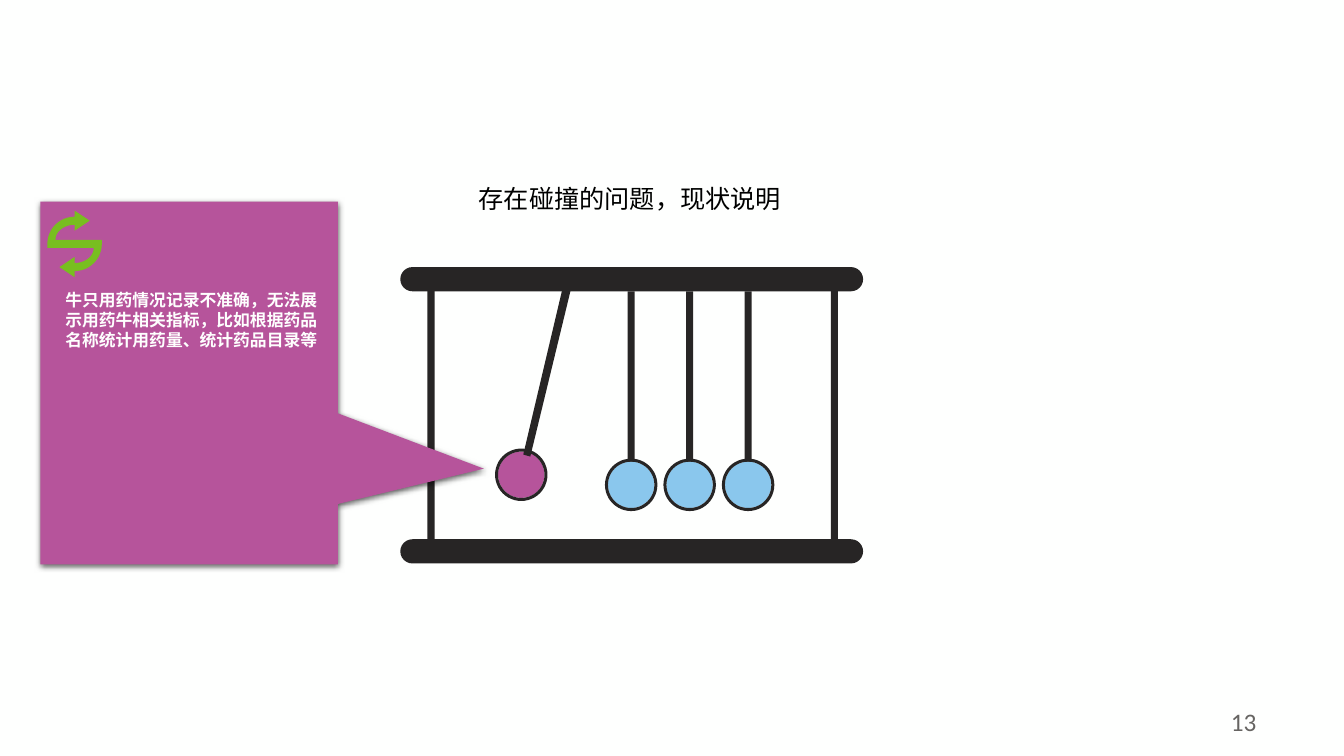
from math import cos, pi, sin

from lxml import etree
from pptx import Presentation
from pptx.dml.color import RGBColor
from pptx.enum.shapes import MSO_SHAPE
from pptx.enum.text import PP_ALIGN
from pptx.oxml.ns import qn
from pptx.util import Inches, Pt

COLORS = {
    "paper": "FEFFFE", "frame": "272525", "ball": "8AC7ED", "accent": "B6549B",
    "icon": "78BE20", "title": "000000", "number": "666462", "shadow": "000000",
}
CHINESE_FONT = "Noto Sans CJK SC"


def paint(shape, color):
    shape.shadow.inherit = False
    shape.fill.solid()
    shape.fill.fore_color.rgb = RGBColor.from_string(COLORS[color])
    shape.line.fill.background()
    return shape


def add_block(shapes, kind, box, color, adjustments=()):
    """Add a filled preset shape in a box of (left, top, width, height) inches."""
    shape = shapes.add_shape(kind, *map(Inches, box))
    for index, value in enumerate(adjustments):
        shape.adjustments[index] = value
    return paint(shape, color)


def add_outline(shapes, points, color):
    """Add a filled closed outline through points given in inches."""
    corners = [(Inches(x), Inches(y)) for x, y in points]
    builder = shapes.build_freeform(*corners[0])
    builder.add_line_segments(corners[1:])
    return paint(builder.convert_to_shape(), color)


def add_text(page, text, box, *, size, color, font=CHINESE_FONT, bold=False,
             align=PP_ALIGN.LEFT, wrap=True):
    frame = page.shapes.add_textbox(*map(Inches, box)).text_frame
    frame.word_wrap = wrap
    para = frame.paragraphs[0]
    para.alignment = align
    para.line_spacing = Pt(size * 1.2)
    span = para.add_run()
    span.text = text
    span.font.size = Pt(size)
    span.font.bold = bold
    span.font.name = font
    span.font.color.rgb = RGBColor.from_string(COLORS[color])
    east_asian = etree.SubElement(span.font._element, qn("a:ea"))
    east_asian.set("typeface", font)


def add_shadow(shape, blur, distance, opacity):
    """Add a soft shadow that falls straight down."""
    effects = shape._element.spPr.find(qn("a:effectLst"))
    shadow = etree.SubElement(
        effects, qn("a:outerShdw"), blurRad=str(Pt(blur)), dist=str(Pt(distance)),
        dir=str(90 * 60000), rotWithShape="0")
    color = etree.SubElement(shadow, qn("a:srgbClr"), val=COLORS["shadow"])
    etree.SubElement(color, qn("a:alpha"), val=str(opacity * 1000))


def add_cradle(page, box):
    """Draw the frame with one swinging ball and three hanging balls."""
    left, top, width, height = box
    bar, rod, ring, ball = 0.24, 0.07, 0.52, 0.46
    shapes = page.shapes.add_group_shape().shapes
    hanging = [(left + 2.29 + 0.58 * step, top + 2.16) for step in range(3)]
    swinging = (left + 1.2, top + 2.06)
    balls = [(center, "ball") for center in hanging] + [(swinging, "accent")]

    for (x, y), color in balls:
        add_block(shapes, MSO_SHAPE.OVAL,
                  (x - ball / 2, y - ball / 2, ball, ball), color)
    for bar_top in (top, top + height - bar):
        add_block(shapes, MSO_SHAPE.ROUNDED_RECTANGLE,
                  (left, bar_top, width, bar), "frame", [0.5])
    for x in (left + 0.27, left + width - 0.32):
        add_block(shapes, MSO_SHAPE.RECTANGLE,
                  (x, top + 0.22, rod, height - bar - 0.22), "frame")
    for x, _ in hanging:
        add_block(shapes, MSO_SHAPE.RECTANGLE,
                  (x - rod / 2, top + bar, rod, 1.69), "frame")
    tilted = [(1.29, 1.88), (1.22, 1.86), (1.61, 0.21), (1.69, 0.23)]
    add_outline(shapes, [(left + x, top + y) for x, y in tilted], "frame")
    for (x, y), _ in balls:
        add_block(shapes, MSO_SHAPE.DONUT,
                  (x - ring / 2, y - ring / 2, ring, ring), "frame",
                  [(ring - ball) / 2 / ring])


def add_cycle_icon(page, box):
    """Draw two turning arrows, the second being the first turned half round."""
    left, top, width, height = box
    center_x, center_y = left + width / 2, top + height / 2
    angles = [pi / 2 * step / 12 for step in range(13)]
    inner = [(-0.19 * cos(a), -0.04 - 0.15 * sin(a)) for a in angles]
    head = [(0, -0.13), (0.15, -0.23), (0, -0.33)]
    outer = [(-0.27 * cos(a), -0.27 * sin(a)) for a in reversed(angles)]
    arrow = inner + head + outer + [(-0.27, 0.04)]
    add_outline(page.shapes, [(center_x + turn * x, center_y + turn * y)
                              for turn in (1, -1) for x, y in arrow], "icon")


def add_problem_callout(page, box):
    left, top, width, height = box
    turned = (left + (width - height) / 2, top + (height - width) / 2, height, width)
    callout = add_block(page.shapes, MSO_SHAPE.RECTANGULAR_CALLOUT, turned,
                        "accent", [-0.236, 0.991])
    callout.rotation = 270
    add_shadow(callout, blur=4.5, distance=1.5, opacity=63)
    add_cycle_icon(page, (left + 0.07, top + 0.09, 0.54, 0.66))
    add_text(page, "牛只用药情况记录不准确，无法展示用药牛相关指标，比如根据药品名称统计用药量、统计药品目录等",
             (left + 0.15, top + 0.82, 2.73, 0.71), size=12, color="paper", bold=True)


def build_collision_slide(deck):
    page = deck.slides.add_slide(deck.slide_layouts[6])
    page.background.fill.solid()
    page.background.fill.fore_color.rgb = RGBColor.from_string(COLORS["paper"])
    add_text(page, "13", (9.56, 6.96, 3, 0.4), size=18, color="number",
             font="Calibri", align=PP_ALIGN.RIGHT)
    add_cradle(page, (3.97, 2.65, 4.59, 2.94))
    add_problem_callout(page, (0.4, 2, 2.95, 3.6))
    add_text(page, "存在碰撞的问题，现状说明", (4.65, 1.77, 3.23, 0.4),
             size=18, color="title", wrap=False)


def main():
    deck = Presentation()
    deck.slide_width, deck.slide_height = Inches(13.33), Inches(7.5)
    build_collision_slide(deck)
    deck.save("out.pptx")


if __name__ == "__main__":
    main()
